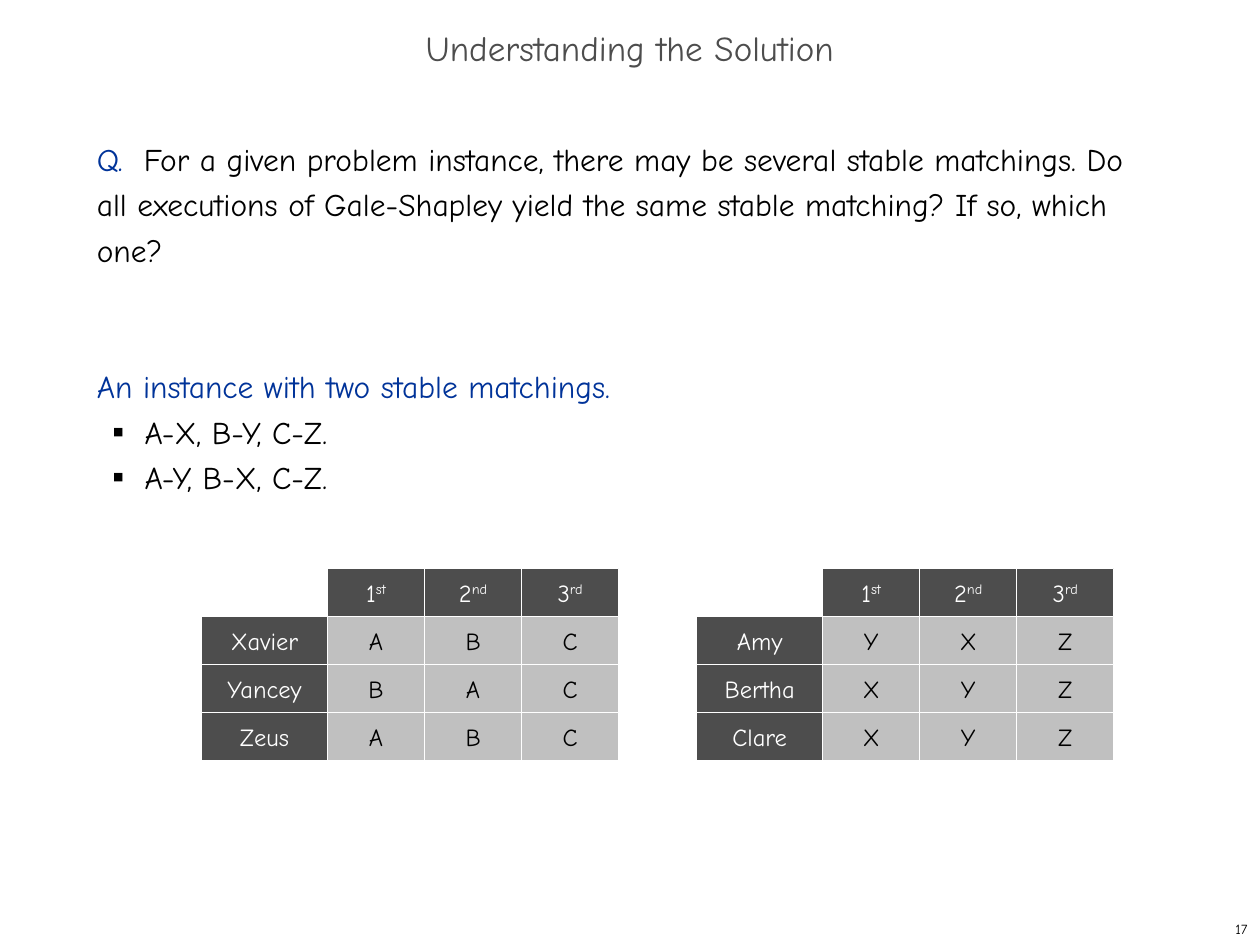
from dataclasses import dataclass

from lxml import etree
from pptx import Presentation
from pptx import util as u
from pptx.dml.color import RGBColor
from pptx.enum import shapes, text
from pptx.oxml import ns


@dataclass(frozen=True)
class Theme:
    font: str = "Comic Neue"
    ink: str = "000000"
    accent: str = "003399"
    dark: str = "4D4D4D"
    light: str = "C0C0C0"
    paper: str = "FFFFFF"
    title_size: int = 20
    body_size: int = 18
    cell_size: int = 14
    number_size: int = 8


THEME = Theme()
WIDTH, HEIGHT = 10, 7.5
RANKS = [("1", "st"), ("2", "nd"), ("3", "rd")]
NAME_WIDTH, RANK_WIDTH = 1, 0.77
GRID_TOP, GRID_HEIGHT = 4.51, 1.53
GRID_LEFT, GRID_STEP = 1.6, 3.93
BODY_LEADING = u.Pt(26)

MEN = {"Xavier": "ABC", "Yancey": "BAC", "Zeus": "ABC"}
WOMEN = {"Amy": "YXZ", "Bertha": "XYZ", "Clare": "XYZ"}
MATCHINGS = ["A-X, B-Y, C-Z.", "A-Y, B-X, C-Z."]


def add_run(paragraph, words, size, colour, raised=False):
    run = paragraph.add_run()
    run.text = words
    apply_format(run.font, name=THEME.font, size=u.Pt(size))
    run.font.color.rgb = RGBColor.from_string(colour)
    if raised:
        run.font._element.set("baseline", "30000")


def apply_format(target, **values):
    for key, value in values.items():
        setattr(target, key, value)
    return target


def add_text_frame(slide, left, top, width, height, anchor):
    box = slide.shapes.add_textbox(*map(u.Inches, (left, top, width, height)))
    return apply_format(box.text_frame, word_wrap=True, vertical_anchor=anchor)


def add_bullet(paragraph):
    """Give the paragraph a small black square and a hanging indent."""
    properties = paragraph._p.get_or_add_pPr()
    properties.set("marL", str(u.Inches(0.38)))
    properties.set("indent", str(u.Inches(-0.25)))
    colour = etree.SubElement(properties, ns.qn("a:buClr"))
    etree.SubElement(colour, ns.qn("a:srgbClr"), val=THEME.ink)
    etree.SubElement(properties, ns.qn("a:buSzPct"), val="35000")
    etree.SubElement(properties, ns.qn("a:buFont"), typeface=THEME.font)
    etree.SubElement(properties, ns.qn("a:buChar"), char="■")


def add_title(slide):
    frame = add_text_frame(slide, 0, 0.17, WIDTH, 0.5, text.MSO_ANCHOR.MIDDLE)
    title = apply_format(frame.paragraphs[0], line_spacing=0.7,
                         alignment=text.PP_ALIGN.CENTER)
    add_run(title, "Understanding the Solution", THEME.title_size, THEME.dark)


def add_body(slide):
    frame = add_text_frame(slide, 0.67, 1, 8.58, 5.92, text.MSO_ANCHOR.TOP)
    question = apply_format(frame.paragraphs[0], line_spacing=BODY_LEADING)
    add_run(question, "Q.  ", THEME.body_size, THEME.accent)
    add_run(question, "For a given problem instance, there may be several stable "
            "matchings. Do all executions of Gale-Shapley yield the same stable "
            "matching? If so, which one?", THEME.body_size, THEME.ink)
    heading = apply_format(frame.add_paragraph(), line_spacing=BODY_LEADING,
                           space_before=2 * BODY_LEADING)
    add_run(heading, "An instance with two stable matchings.",
            THEME.body_size, THEME.accent)
    for matching in MATCHINGS:
        item = apply_format(frame.add_paragraph(), level=1,
                            line_spacing=BODY_LEADING, space_before=u.Pt(0))
        add_bullet(item)
        add_run(item, matching, THEME.body_size, THEME.ink)


def add_cell(slide, left, top, width, height, parts, is_header):
    """Draw a cell with a base and an optional raised suffix."""
    cell = slide.shapes.add_shape(shapes.MSO_SHAPE.RECTANGLE,
                                  *map(u.Inches, (left, top, width, height)))
    cell.shadow.inherit = False
    cell.fill.solid()
    cell.fill.fore_color.rgb = RGBColor.from_string(
        THEME.dark if is_header else THEME.light)
    cell.line.color.rgb = RGBColor.from_string(THEME.paper)
    cell.line.width = u.Pt(0.75)
    frame = apply_format(cell.text_frame, word_wrap=False,
                         vertical_anchor=text.MSO_ANCHOR.MIDDLE)
    label = apply_format(frame.paragraphs[0], alignment=text.PP_ALIGN.CENTER)
    for index, part in enumerate(parts):
        add_run(label, part, THEME.cell_size,
                THEME.paper if is_header else THEME.ink, raised=index > 0)


def add_preferences(slide, left, preferences):
    """Draw the ranked choices column by column, each from the bottom up."""
    columns = [[(), *((name,) for name in preferences)]]
    columns += [[rank, *((choice,) for choice in choices)]
                for rank, choices in zip(RANKS, zip(*preferences.values()))]
    height = GRID_HEIGHT / (len(preferences) + 1)
    for c, column in enumerate(columns):
        width = RANK_WIDTH if c else NAME_WIDTH
        for r, parts in reversed(list(enumerate(column))):
            if parts:
                add_cell(slide, left, GRID_TOP + r * height, width, height,
                         parts, is_header=r == 0 or c == 0)
        left += width


def add_page_number(slide):
    width, height = 2.08, 0.25
    frame = add_text_frame(slide, WIDTH - width, HEIGHT - height, width, height,
                           text.MSO_ANCHOR.MIDDLE)
    number = apply_format(frame.paragraphs[0], alignment=text.PP_ALIGN.RIGHT)
    add_run(number, "17", THEME.number_size, THEME.ink)


def main():
    deck = Presentation()
    deck.slide_width, deck.slide_height = u.Inches(WIDTH), u.Inches(HEIGHT)
    slide = deck.slides.add_slide(deck.slide_layouts[6])
    add_title(slide)
    add_body(slide)
    for index, preferences in enumerate((MEN, WOMEN)):
        add_preferences(slide, GRID_LEFT + index * GRID_STEP, preferences)
    add_page_number(slide)
    deck.save("out.pptx")


if __name__ == "__main__":
    main()
